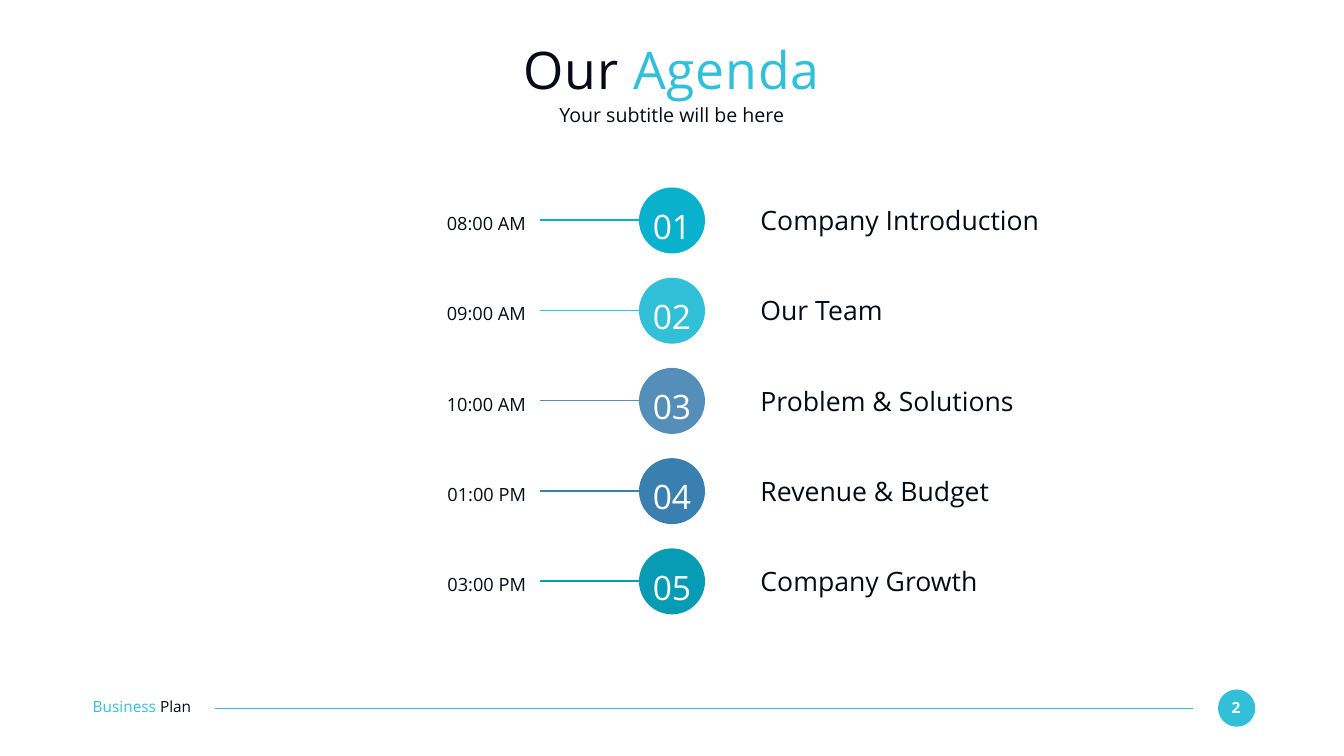
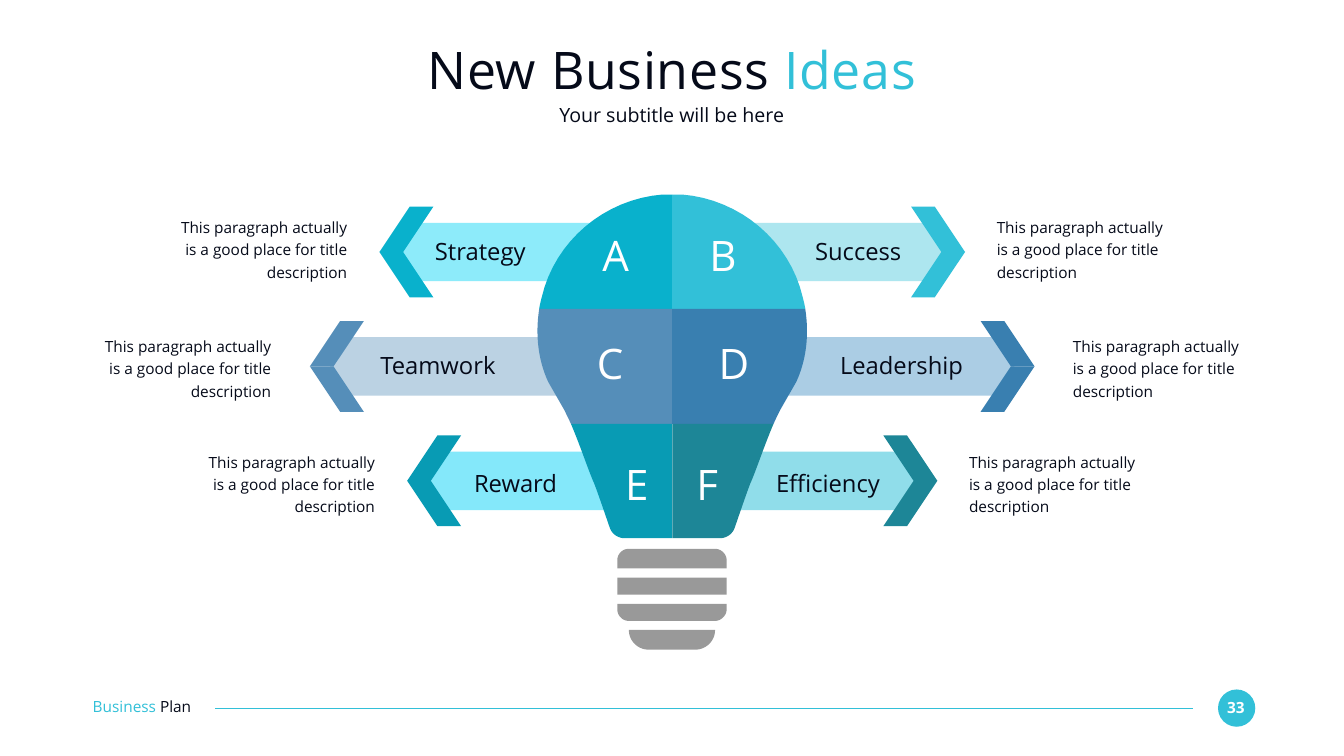
from dataclasses import dataclass

from lxml import etree
from pptx import Presentation
from pptx.dml.color import RGBColor
from pptx.enum.shapes import MSO_CONNECTOR, MSO_SHAPE
from pptx.enum.text import MSO_ANCHOR, PP_ALIGN
from pptx.oxml.ns import qn
from pptx.shapes.base import BaseShape
from pptx.slide import Slide
from pptx.util import Pt

STRAIGHT = MSO_CONNECTOR.STRAIGHT
OVAL = MSO_SHAPE.OVAL
LEFT, CENTER, RIGHT = PP_ALIGN.LEFT, PP_ALIGN.CENTER, PP_ALIGN.RIGHT
TOP, MIDDLE = MSO_ANCHOR.TOP, MSO_ANCHOR.MIDDLE

EMU_PER_PX = 9144
SLIDE_WIDTH, SLIDE_HEIGHT = 2667, 1500
AXIS = 1334
FONT = "Open Sans"
INK, WHITE, GREY = "050A19", "FFFFFF", "999999"
CYAN, SKY, STEEL, BLUE, TEAL, PINE = "09B1CC", "32C0D8", "558EB9", "397FB0", "089BB4", "1D8697"
NOTE = "This paragraph actually is a good place for title description"
NOTE_WIDTH = 354
CURVE_STEPS = 16

Run = tuple[str, str]
Point = tuple[float, float]
Contour = list[tuple[int, ...]]


@dataclass(frozen=True)
class AgendaItem:
    time: str
    topic: str
    color: str


@dataclass(frozen=True)
class Branch:
    side: int
    letter: str
    letter_left: int
    label: str
    label_left: int
    color: str
    tint: str


@dataclass(frozen=True)
class BulbRow:
    middle: int
    bar_start: int
    tip: int
    note_left: int
    note_top: int
    label_top: int
    label_width: int
    letter_top: int
    outline: Contour
    branches: tuple[Branch, Branch]


AGENDA = [
    AgendaItem("08:00 AM", "Company Introduction", CYAN),
    AgendaItem("09:00 AM", "Our Team", SKY),
    AgendaItem("10:00 AM", "Problem & Solutions", STEEL),
    AgendaItem("01:00 PM", "Revenue & Budget", BLUE),
    AgendaItem("03:00 PM", "Company Growth", TEAL),
]

BULB_ROWS = [
    BulbRow(
        500, 63, 581, 1978, 426, 470, 268, 455,
        [(259, 590), (233, 478, 134, 395, 19, 386), (0, 386), (0, 613), (264, 613),
         (263, 606, 261, 598, 259, 590)],
        (Branch(-1, "A", 1168, "Strategy", 819, CYAN, "8DEBFA"),
         Branch(1, "B", 1381, "Success", 1569, SKY, "ADE6EF")),
    ),
    BulbRow(
        727, 63, 719, 2129, 662, 695, 370, 669,
        [(0, 841), (201, 841), (206, 830, 211, 820, 215, 812), (246, 758),
         (266, 715, 272, 665, 264, 613), (0, 613)],
        (Branch(-1, "C", 1157, "Teamwork", 684, STEEL, "BBD2E3"),
         Branch(1, "D", 1403, "Leadership", 1604, BLUE, "ABCDE4")),
    ),
    BulbRow(
        954, 8, 526, 1923, 891, 930, 268, 909,
        [(0, 841), (0, 1068), (94, 1068), (108, 1068, 120, 1059, 124, 1047),
         (134, 1018, 148, 977, 155, 959), (164, 940, 183, 883, 201, 841)],
        (Branch(-1, "E", 1210, "Reward", 889, TEAL, "84E8FA"),
         Branch(1, "F", 1350, "Efficiency", 1509, PINE, "90DDEA")),
    ),
]

BULB_BASE = [
    [(-86, 1250), (85, 1250), (85, 1272, 67, 1289, 46, 1289), (-47, 1289),
     (-68, 1289, -86, 1272, -86, 1250)],
    [(-109, 1198), (108, 1198), (108, 1209), (108, 1221, 97, 1232, 85, 1232), (-86, 1232),
     (-99, 1232, -109, 1221, -109, 1209)],
    [(-109, 1146), (108, 1146), (108, 1180), (-109, 1180)],
    [(-86, 1089), (85, 1089), (97, 1089, 108, 1099, 108, 1112), (108, 1128), (-109, 1128),
     (-109, 1112), (-109, 1099, -99, 1089, -86, 1089)],
]


def px(length: float) -> int:
    return round(length * EMU_PER_PX)


def color(value: str) -> RGBColor:
    return RGBColor.from_string(value)


def paint(shape: BaseShape, fill: str) -> None:
    shape.shadow.inherit = False
    shape.fill.solid()
    shape.fill.fore_color.rgb = color(fill)
    shape.line.fill.background()


def add_circle(slide: Slide, left: int, top: int, size: int, fill: str) -> None:
    paint(slide.shapes.add_shape(OVAL, px(left), px(top), px(size), px(size)), fill)


def add_line(slide: Slide, start: int, end: int, y: int, stroke: str, width: float) -> None:
    line = slide.shapes.add_connector(STRAIGHT, px(start), px(y), px(end), px(y))
    line.line.color.rgb = color(stroke)
    line.line.width = Pt(width)
    etree.SubElement(line._element.spPr, qn("a:effectLst"))


def add_text(
    slide: Slide,
    box: tuple[int, int, int, int],
    runs: list[Run],
    size: int,
    align: PP_ALIGN = LEFT,
    anchor: MSO_ANCHOR = TOP,
    line_spacing: float | None = None,
    bold: bool = False,
    tracking: int = 0,
) -> None:
    frame = slide.shapes.add_textbox(*map(px, box)).text_frame
    frame.margin_left = frame.margin_top = frame.margin_right = frame.margin_bottom = 0
    frame.word_wrap = True
    frame.vertical_anchor = anchor
    paragraph = frame.paragraphs[0]
    paragraph.alignment = align
    paragraph.line_spacing = line_spacing
    paragraph.font.name = FONT
    paragraph.font.size = Pt(size)
    paragraph.font.bold = bold
    if len(runs) == 1:
        paragraph.font.color.rgb = color(runs[0][1])
    for text, ink in runs:
        run = paragraph.add_run()
        run.text = text
        if len(runs) > 1:
            run.font.color.rgb = color(ink)
        if tracking:
            run._r.get_or_add_rPr().set("spc", str(tracking))


def flatten(contour: Contour, side: int) -> list[Point]:
    points: list[Point] = [contour[0]]
    for step in contour[1:]:
        if len(step) == 2:
            points.append(step)
            continue
        x0, y0 = points[-1]
        x1, y1, x2, y2, x3, y3 = step
        for index in range(1, CURVE_STEPS + 1):
            t = index / CURVE_STEPS
            a, b, c, d = (1 - t) ** 3, 3 * t * (1 - t) ** 2, 3 * t * t * (1 - t), t ** 3
            points.append((a * x0 + b * x1 + c * x2 + d * x3, a * y0 + b * y1 + c * y2 + d * y3))
    return [(px(AXIS + side * x), px(y)) for x, y in points]


def add_outline(slide: Slide, contours: list[Contour], fill: str, side: int = 1) -> None:
    first, *others = [flatten(contour, side) for contour in contours]
    builder = slide.shapes.build_freeform(*first[0], scale=1.0)
    builder.add_line_segments(first[1:], close=True)
    for points in others:
        builder.move_to(*points[0])
        builder.add_line_segments(points[1:], close=True)
    paint(builder.convert_to_shape(), fill)


def add_base_slide(presentation: Presentation, title: str, accent: str, number: int) -> Slide:
    slide = presentation.slides.add_slide(presentation.slide_layouts[6])
    slide.background.fill.solid()
    slide.background.fill.fore_color.rgb = color(WHITE)
    add_circle(slide, 2417, 1368, 74, SKY)
    add_text(slide, (2423, 1385, 59, 37), [(str(number), WHITE)], 22, CENTER, bold=True)
    add_line(slide, 2367, 427, 1405, SKY, 1.5)
    add_text(slide, (184, 1384, 259, 37), [("Business ", SKY), ("Plan", INK)], 22)
    add_text(slide, (183, 73, 2300, 127), [(title, INK), (accent, SKY)], 74, CENTER, MIDDLE,
             tracking=100)
    add_text(slide, (183, 203, 2300, 49), [("Your subtitle will be here", INK)], 28, CENTER, MIDDLE)
    return slide


def add_agenda_item(slide: Slide, index: int, item: AgendaItem) -> None:
    top = 372 + 179 * index
    add_circle(slide, 1268, top, 131, item.color)
    add_line(slide, 1071, 1268, top + 65, item.color, 2.25)
    add_text(slide, (1282, top + 20, 103, 97), [(f"{index + 1:02}", WHITE)], 48, CENTER,
             line_spacing=1.2)
    add_text(slide, (690, top + 41, 354, 53), [(item.time, INK)], 26, RIGHT, line_spacing=1.2)
    add_text(slide, (1509, top + 33, 629, 64), [(item.topic, INK)], 38)


def add_branch(slide: Slide, row: BulbRow, branch: Branch) -> None:
    middle, tip, side = row.middle, row.tip, branch.side
    bar_end = tip - 40
    shoulder = bar_end - 35
    bar = [(shoulder, middle + 58), (row.bar_start, middle + 58), (row.bar_start, middle - 58),
           (shoulder, middle - 58), (bar_end, middle)]
    add_outline(slide, [bar], branch.tint, side)
    for reach in (-90, 90):
        chevron = [(tip, middle), (tip - 47, middle), (tip - 107, middle + reach),
                   (tip - 60, middle + reach)]
        add_outline(slide, [chevron], branch.color, side)
    add_outline(slide, [row.outline], branch.color, side)

    on_right = side == 1
    note_left = row.note_left if on_right else SLIDE_WIDTH - row.note_left - NOTE_WIDTH
    add_text(slide, (note_left, row.note_top, NOTE_WIDTH, 133), [(NOTE, INK)], 22,
             LEFT if on_right else RIGHT, line_spacing=1.2)
    add_text(slide, (branch.letter_left, row.letter_top, 107, 101), [(branch.letter, WHITE)], 60,
             CENTER)
    add_text(slide, (branch.label_left, row.label_top, row.label_width, 57),
             [(branch.label, INK)], 34, CENTER)


def build_agenda(presentation: Presentation) -> None:
    slide = add_base_slide(presentation, "Our ", "Agenda", 2)
    for index, item in enumerate(AGENDA):
        add_agenda_item(slide, index, item)


def build_ideas(presentation: Presentation) -> None:
    slide = add_base_slide(presentation, "New Business ", "Ideas", 33)
    for row in BULB_ROWS:
        for branch in row.branches:
            add_branch(slide, row, branch)
    add_outline(slide, BULB_BASE, GREY)


def main() -> None:
    presentation = Presentation()
    presentation.slide_width = px(SLIDE_WIDTH)
    presentation.slide_height = px(SLIDE_HEIGHT)
    build_agenda(presentation)
    build_ideas(presentation)
    presentation.save("out.pptx")


if __name__ == "__main__":
    main()
